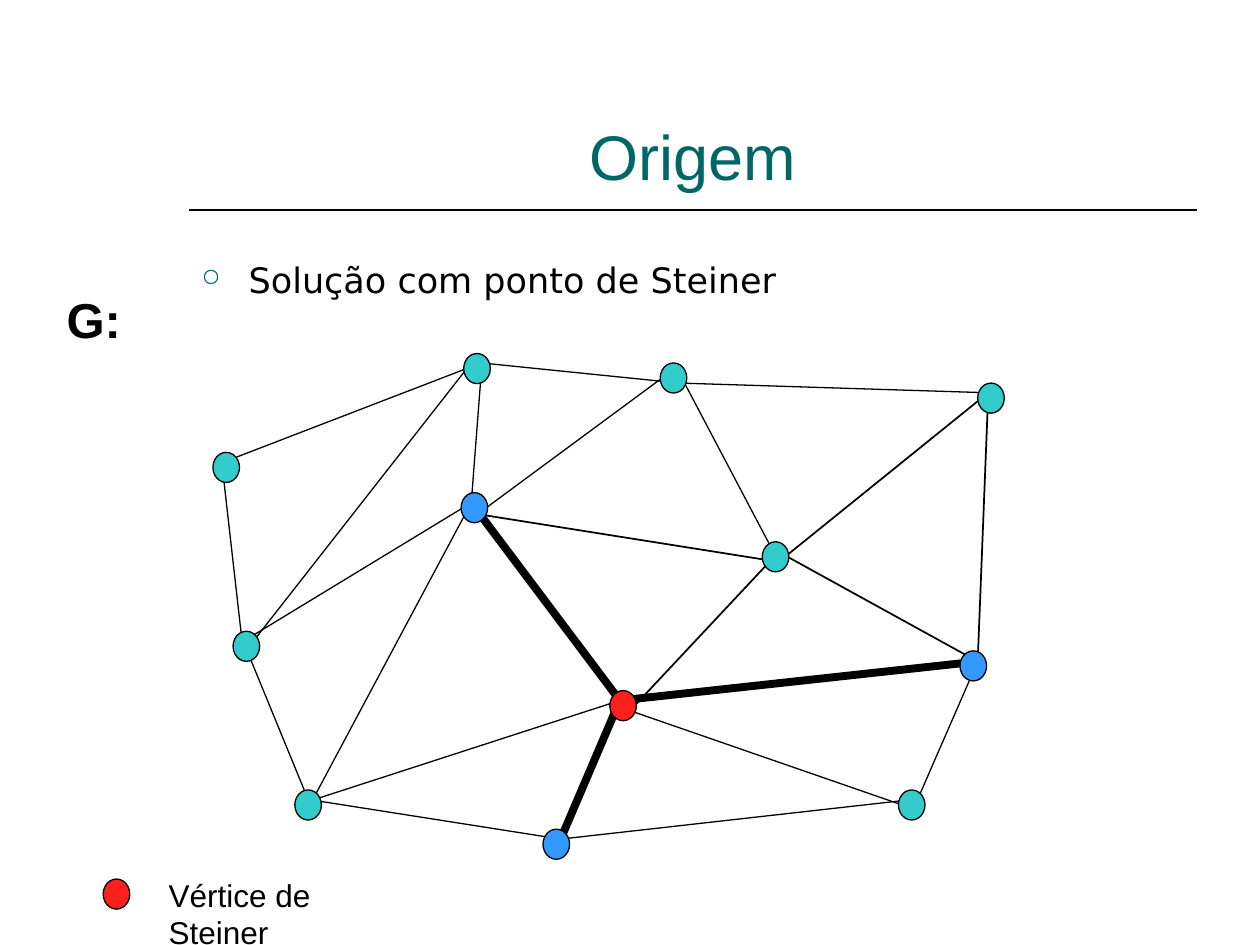
"""Build a slide showing a graph solved with a Steiner point."""
import pptx
import pptx.dml.color
import pptx.enum.shapes
import pptx.enum.text
import pptx.oxml
import pptx.oxml.ns
import pptx.util

Pt = pptx.util.Pt
qn = pptx.oxml.ns.qn
make = pptx.oxml.parse_xml
NS = 'xmlns:a="http://schemas.openxmlformats.org/drawingml/2006/main"'
HUES = {"ink": "000000", "title": "006666", "node": "33CCCC",
        "end": "3399FF", "steiner": "FC211C"}
WIDE, HIGH = 15.2, 17.2

deck = pptx.Presentation()
deck.slide_width, deck.slide_height = Pt(720), Pt(540)
slide = deck.slides.add_slide(deck.slide_layouts[6])
shapes = slide.shapes


def tint(name):
    return pptx.dml.color.RGBColor.from_string(HUES[name])


def write(box, text, size, font="Arial", hue="ink", bold=False, wrap=True):
    area = shapes.add_textbox(*[Pt(v) for v in box])
    frame = area.text_frame
    frame.word_wrap = wrap
    para = frame.paragraphs[0]
    run = para.add_run()
    run.text = text
    run.font.size, run.font.name, run.font.bold = Pt(size), font, bold
    run.font.color.rgb = tint(hue)
    return frame, para


edges = [
    (108, 120.2, 684, 120.2, 1),
    (178.6, 463, 139, 366.5, 0.75),
    (127.4, 270, 139, 372.2, 0.75),
    (178.6, 457.2, 320.4, 479.5, 0.75),
    (178.6, 457.2, 354.2, 400.3, 0.75),
    (320.4, 479.5, 354.2, 400.3, 4.5),
    (178.6, 457.2, 269.3, 287.3, 0.75),
    (139, 366.5, 269.3, 287.3, 0.75),
    (144.7, 366.5, 269.3, 207.4, 0.75),
    (127.4, 264.2, 275, 207.4, 0.75),
    (275, 207.4, 388.1, 218.9, 0.75),
    (269.3, 287.3, 275, 213.1, 0.75),
    (275, 292.3, 382.3, 213.1, 0.75),
    (263.5, 292.3, 445, 321.1, 1),
    (360, 406.1, 445, 315.4, 1),
    (269.3, 287.3, 354.2, 400.3, 4.5),
    (320.4, 479.5, 518.4, 457.2, 0.75),
    (360, 406.1, 524.2, 463, 0.75),
    (524.2, 457.2, 558.7, 378, 0.75),
    (445, 315.4, 558.7, 378, 1),
    (558.7, 378, 564.5, 230.4, 1),
    (445, 321.1, 564.5, 224.6, 1),
    (445, 321.1, 388.1, 213.1, 0.75),
    (388.1, 218.9, 569.5, 224.6, 0.75),
    (354.2, 400.3, 558.7, 378, 4.5),
]
for *ends, width in edges:
    edge = shapes.add_connector(pptx.enum.shapes.MSO_CONNECTOR.STRAIGHT,
                                *[Pt(v) for v in ends])
    edge.line.color.rgb = tint("ink")
    edge.line.width = Pt(width)
    edge._element.spPr.append(make(f"<a:effectLst {NS}/>"))

nodes = {
    "node": [(121.7, 258.5), (133.2, 360.7), (168.5, 451.4), (513.4, 451.4),
             (435.6, 309.6), (558.7, 218.9), (377.3, 207.4), (265, 202)],
    "end": [(310.3, 473.8), (263.5, 281.5), (548.6, 371.9)],
    "steiner": [(348.5, 394.6), (59, 502.3)],
}
for hue, spots in nodes.items():
    for left, top in spots:
        dot = shapes.add_shape(pptx.enum.shapes.MSO_SHAPE.OVAL,
                               Pt(left), Pt(top), Pt(WIDE), Pt(HIGH))
        dot.shadow.inherit = False
        dot.fill.solid()
        dot.fill.fore_color.rgb = tint(hue)
        dot.line.color.rgb = tint("ink")
        dot.line.width = Pt(0.75)

write((31, 162, 57, 41), "G:", 28, bold=True)
write((89.3, 496.8, 157, 29), "Vértice de Steiner", 18, wrap=False)

frame, para = write((108, 23.8, 576, 90), "Origem", 36, hue="title")
frame.vertical_anchor = pptx.enum.text.MSO_ANCHOR.BOTTOM
para.alignment = pptx.enum.text.PP_ALIGN.CENTER

frame, para = write((108, 144, 576, 324), "Solução com ponto de Steiner",
                    20, font="DejaVu Sans")
props = para._p.get_or_add_pPr()
props.set("marL", str(Pt(27)))
props.set("indent", str(Pt(-27)))
for mark in (f'<a:buClr {NS}><a:srgbClr val="{HUES["title"]}"/></a:buClr>',
             f'<a:buSzPct {NS} val="70000"/>',
             f'<a:buChar {NS} char="○"/>'):
    props.append(make(mark))

deck.save("out.pptx")
